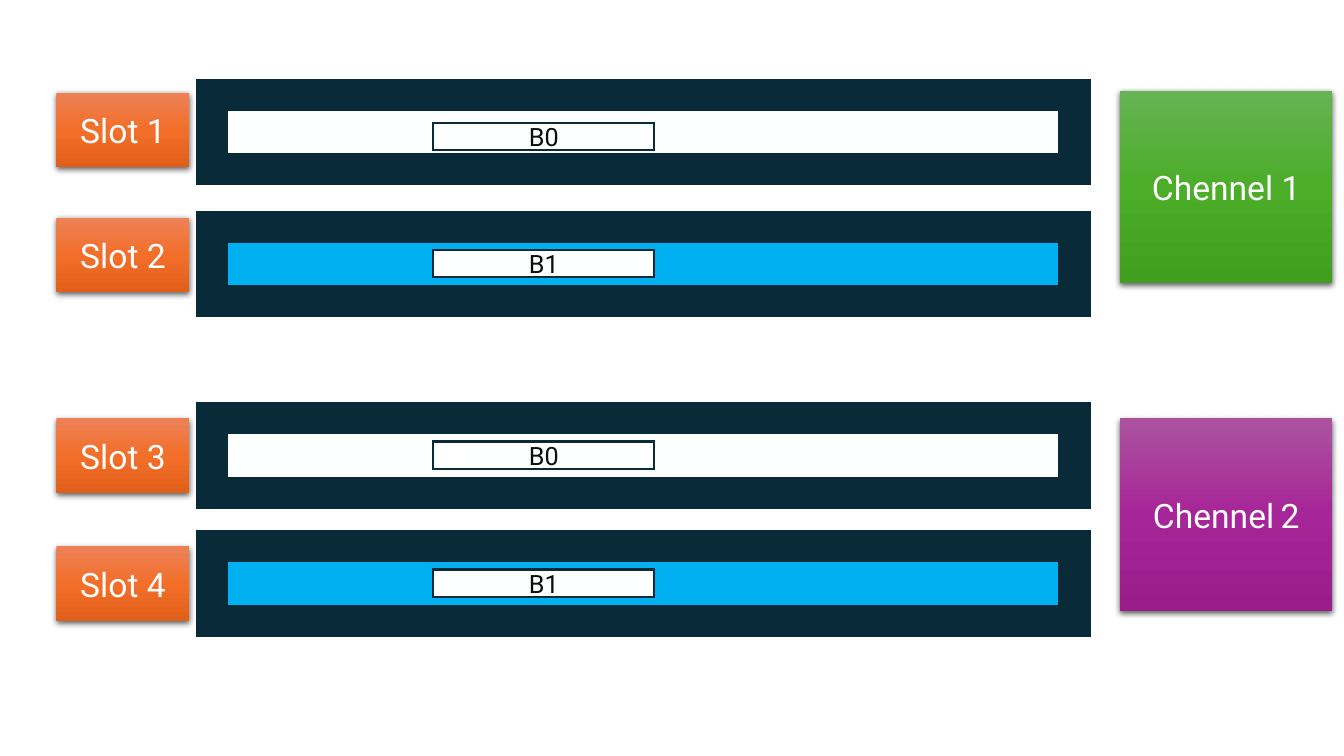
from lxml import etree
from pptx import Presentation
from pptx import util as u
from pptx.dml.color import RGBColor
from pptx.enum import shapes, text
from pptx.oxml import parse_xml
from pptx.oxml.ns import nsdecls, qn

COLORS = {
    "navy": "092A39", "white": "FEFFFF", "blue": "00B0F0",
    "bank_text": "0D0D0D", "block_text": "FFFFFF", "shadow": "000000",
}
GRADIENTS = {
    "orange": ("ED8257", "F26E29", "E25F1A"),
    "green": ("66B354", "4BAD28", "409F1E"),
    "purple": ("AC53A0", "A62598", "991C8B"),
}
FONT = "Roboto"

# slot, slot top, module top, module colour, bank, bank top
SLOTS = [
    ("Slot 1", 66.24, 67.68, "white", "B0", 87.84),
    ("Slot 2", 155.52, 162, "blue", "B1", 178.56),
    ("Slot 3", 298.8, 298.8, "white", "B0", 315.36),
    ("Slot 4", 390.24, 390.24, "blue", "B1", 406.8),
]
# runs of (text, size), top, gradient
CHANNELS = [
    ([("Chennel 1", 24)], 64.8, "green"),
    ([("Chennel", 24), (" ", 18), ("2", 24)], 298.8, "purple"),
]
# left, width, height of each column
SLOT_BOX = (40.32, 95.04, 53.28)
MODULE_BOX = (151.2, 616.32, 53.28)
BANK_BOX = (309.6, 157.68, 19.44)
CHANNEL_BOX = (799.92, 151.92, 137.52)


def add_box(slide, top, box):
    left, width, height = box
    shape = slide.shapes.add_shape(
        shapes.MSO_SHAPE.RECTANGLE, *map(u.Pt, (left, top, width, height)))
    shape.shadow.inherit = False
    return shape


def add_outlined_box(slide, top, box, fill, line_width):
    shape = add_box(slide, top, box)
    shape.fill.solid()
    shape.fill.fore_color.rgb = RGBColor.from_string(COLORS[fill])
    shape.line.width = u.Pt(line_width)
    shape.line.color.rgb = RGBColor.from_string(COLORS["navy"])
    outline = shape.element.spPr.find(qn("a:ln"))
    etree.SubElement(outline, qn("a:miter"), lim="800000")
    return shape


def add_raised_box(slide, top, box, gradient):
    """Add a box with a three-stop vertical gradient and a soft shadow below."""
    shape = add_box(slide, top, box)
    shape.line.fill.background()
    shape.fill.gradient()
    properties = shape.element.spPr
    stops = "".join(
        f'<a:gs pos="{i * 50000}"><a:srgbClr val="{color}"/></a:gs>'
        for i, color in enumerate(GRADIENTS[gradient]))
    properties.replace(properties.find(qn("a:gradFill")), parse_xml(
        f'<a:gradFill {nsdecls("a")} rotWithShape="1"><a:gsLst>{stops}</a:gsLst>'
        '<a:lin ang="5400000" scaled="0"/></a:gradFill>'))
    properties.find(qn("a:effectLst")).append(parse_xml(
        f'<a:outerShdw {nsdecls("a")} blurRad="{u.Pt(4.5)}" dist="{u.Pt(1.5)}" '
        'dir="5400000" algn="ctr" rotWithShape="0">'
        f'<a:srgbClr val="{COLORS["shadow"]}"><a:alpha val="63000"/></a:srgbClr>'
        '</a:outerShdw>'))
    return shape


def write(shape, runs, color="block_text"):
    frame = shape.text_frame
    frame.word_wrap = True
    frame.vertical_anchor = text.MSO_ANCHOR.MIDDLE
    frame.margin_left = frame.margin_right = 0
    frame.margin_top = frame.margin_bottom = 0
    paragraph = frame.paragraphs[0]
    paragraph.alignment = text.PP_ALIGN.CENTER
    for words, size in runs:
        run = paragraph.add_run()
        run.text = words
        run.font.name = FONT
        run.font.size = u.Pt(size)
        run.font.color.rgb = RGBColor.from_string(COLORS[color])


def main():
    deck = Presentation()
    deck.slide_width, deck.slide_height = u.Pt(960), u.Pt(540)
    slide = deck.slides.add_slide(deck.slide_layouts[6])
    for slot, slot_top, module_top, fill, bank, bank_top in SLOTS:
        add_outlined_box(slide, module_top, MODULE_BOX, fill, 23)
        write(add_raised_box(slide, slot_top, SLOT_BOX, "orange"), [(slot, 24)])
        write(add_outlined_box(slide, bank_top, BANK_BOX, "white", 1.5),
              [(bank, 18)], color="bank_text")
    for runs, top, gradient in CHANNELS:
        write(add_raised_box(slide, top, CHANNEL_BOX, gradient), runs)
    deck.save("out.pptx")


if __name__ == "__main__":
    main()
